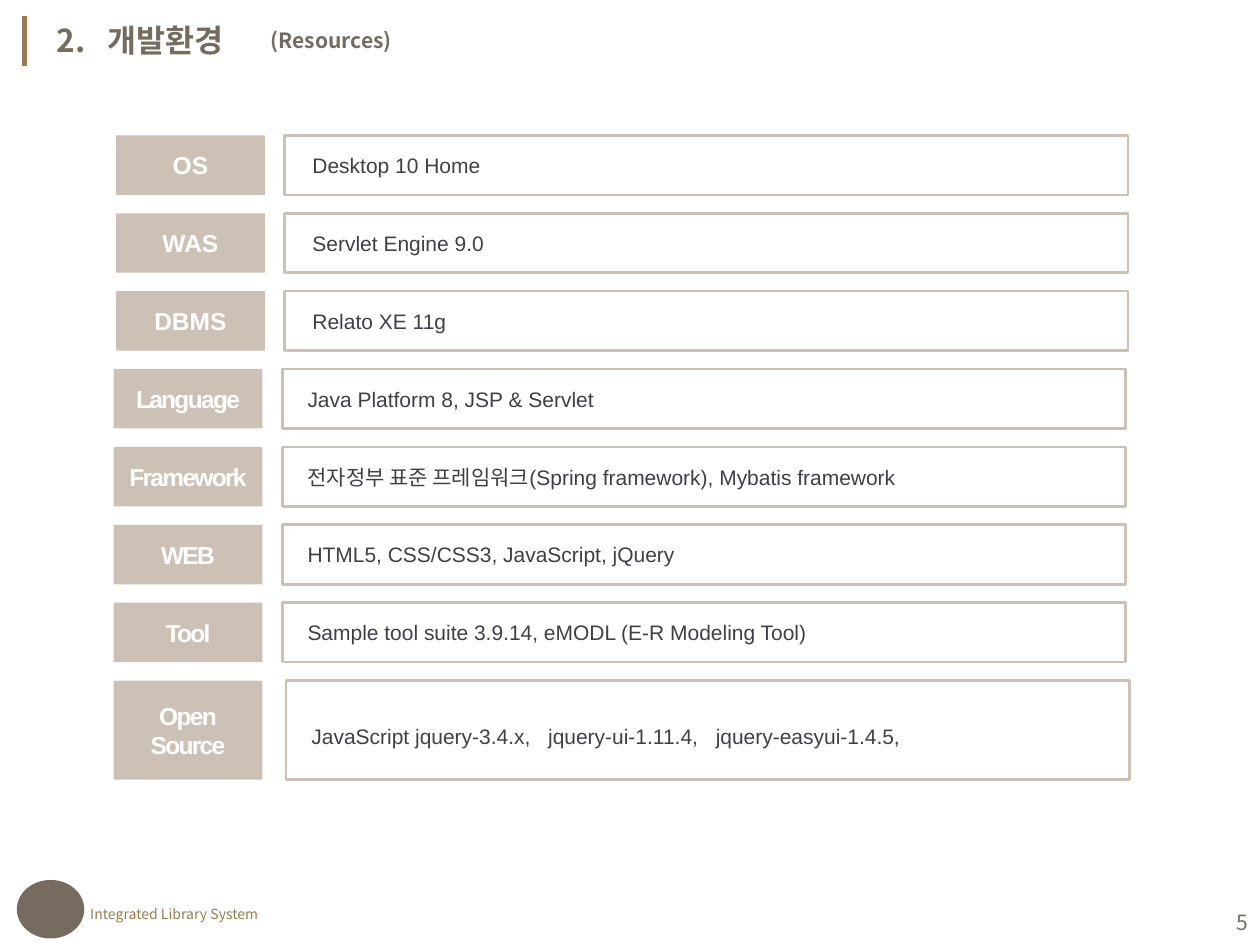
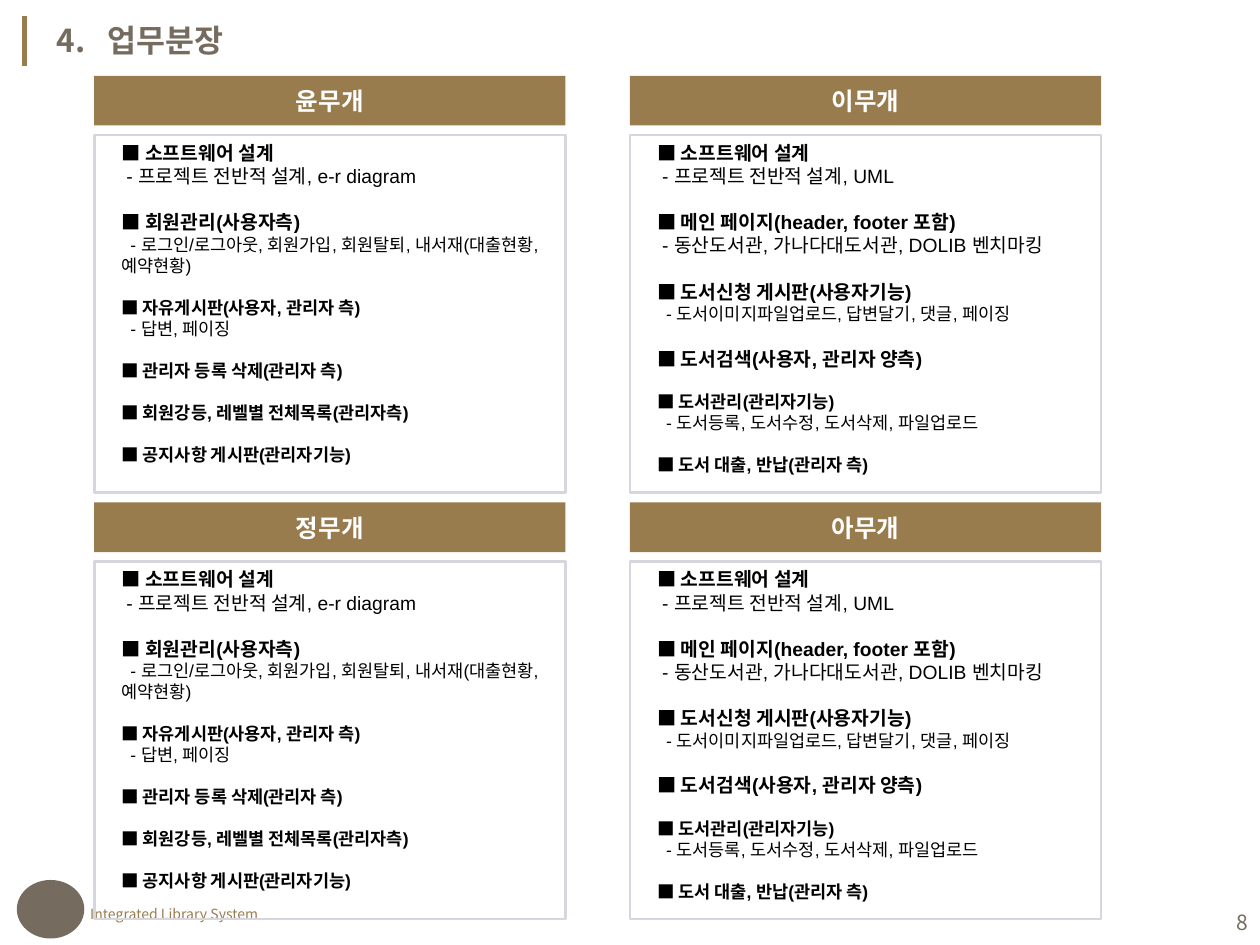
from lxml import etree
from pptx import Presentation
from pptx.dml.color import RGBColor
from pptx.enum import shapes, text
from pptx.oxml import ns
from pptx.util import Cm, Pt

SANS = "Noto Sans CJK KR"
BODY = "Arial"
COLORS = {
    "gold": "987C4D", "brown": "756B5F", "sand": "CDC1B6", "mist": "D6D7DE",
    "slate": "3F3F48", "white": "FFFFFF", "black": "000000",
}


def add_box(page, kind, left, top, width, height, fill=None, line=None, weight=1.5):
    frame = [Cm(value) for value in (left, top, width, height)]
    if kind is None:
        box = page.shapes.add_textbox(*frame)
    else:
        box = page.shapes.add_shape(kind, *frame)
        box.shadow.inherit = False
        if fill:
            box.fill.solid()
            box.fill.fore_color.rgb = RGBColor.from_string(COLORS[fill])
        else:
            box.fill.background()
        if line:
            box.line.color.rgb = RGBColor.from_string(COLORS[line])
            box.line.width = Pt(weight)
        else:
            box.line.fill.background()
        box.text_frame.vertical_anchor = text.MSO_ANCHOR.MIDDLE
    box.text_frame.word_wrap = True
    return box


def style(para, size, color, font=SANS, bold=False, align=text.PP_ALIGN.LEFT):
    para.alignment = align
    for span in para.runs:
        span.font.size = Pt(size)
        span.font.bold = bold
        span.font.name = font
        span.font.color.rgb = RGBColor.from_string(COLORS[color])
        etree.SubElement(span.font._element, ns.qn("a:ea"), typeface=SANS)


RECTANGLE = shapes.MSO_SHAPE.RECTANGLE
CENTER = text.PP_ALIGN.CENTER

deck = Presentation()
deck.slide_width = Cm(25.4)
deck.slide_height = Cm(19.05)

pages = []
for heading, number in [("2.\t개발환경", "5"), ("4.\t업무분장", "8")]:
    page = deck.slides.add_slide(deck.slide_layouts[5])
    pages.append(page)

    title = page.shapes.title
    title.left, title.top, title.width, title.height = Cm(0.89), Cm(0.3), Cm(7), Cm(1.02)
    title.text_frame.text = heading
    title.text_frame.vertical_anchor = text.MSO_ANCHOR.TOP
    title.text_frame.auto_size = text.MSO_AUTO_SIZE.NONE
    para = title.text_frame.paragraphs[0]
    style(para, 18, "brown", bold=True)
    properties = para._p.get_or_add_pPr()
    properties.set("marL", str(Cm(1.02)))
    properties.set("indent", str(Cm(-1.02)))

    accent = page.shapes.add_connector(
        shapes.MSO_CONNECTOR.STRAIGHT, Cm(0.5), Cm(0.33), Cm(0.5), Cm(1.33))
    accent.line.color.rgb = RGBColor.from_string(COLORS["gold"])
    accent.line.width = Pt(3)
    etree.SubElement(accent._element.spPr, ns.qn("a:effectLst"))

    footer = add_box(page, None, 1.57, 18.14, 4.14, 0.6)
    footer.text_frame.text = "Integrated Library System"
    style(footer.text_frame.paragraphs[0], 8, "gold")

    add_box(page, shapes.MSO_SHAPE.OVAL, 0.34, 17.74, 1.36, 1.18, fill="brown")

    page_number = add_box(page, None, 19.5, 18.08, 5.92, 1.02)
    page_number.text_frame.text = number
    page_number.text_frame.vertical_anchor = text.MSO_ANCHOR.MIDDLE
    style(page_number.text_frame.paragraphs[0], 12, "brown", align=text.PP_ALIGN.RIGHT)

resources, duties = pages

subtitle = add_box(resources, None, 5.21, 0.43, 5.99, 0.76)
subtitle.text_frame.text = "(Resources)"
style(subtitle.text_frame.paragraphs[0], 12, "brown", bold=True)

environment = [
    ("OS", "Desktop 10 Home"),
    ("WAS", "Servlet Engine 9.0"),
    ("DBMS", "Relato XE 11g"),
    ("Language", "Java Platform 8, JSP & Servlet"),
    ("Framework", "전자정부 표준 프레임워크(Spring framework), Mybatis framework"),
    ("WEB", "HTML5, CSS/CSS3, JavaScript, jQuery"),
    ("Tool", "Sample tool suite 3.9.14, eMODL (E-R Modeling Tool)"),
    ("Open\nSource", "JavaScript jquery-3.4.x,\tjquery-ui-1.11.4,\tjquery-easyui-1.4.5,"),
]
for index, (name, detail) in enumerate(environment):
    top = 2.73 + 1.57 * index
    wide_name = index < 3
    last = index == len(environment) - 1
    left = 2.34 if wide_name else 2.29
    height = 2 if last else 1.2

    label = add_box(resources, RECTANGLE, left, top, 3, height, fill="sand")
    label.text_frame.margin_left = label.text_frame.margin_right = 0
    label.text_frame.text = name
    for para in label.text_frame.paragraphs:
        style(para, 14, "white", BODY, True, CENTER)
        if not wide_name:
            para.runs[0].font._element.set("spc", "-100")

    value_left = 5.77 if last else left + 3.4
    value = add_box(resources, RECTANGLE, value_left, top, 17, height, "white", "sand")
    value.text_frame.margin_left = Cm(0.56 if wide_name else 0.51)
    value.text_frame.text = detail
    para = value.text_frame.paragraphs[0]
    style(para, 12, "slate", BODY)
    if last:
        para.line_spacing = 1.5
        stops = etree.SubElement(para._p.get_or_add_pPr(), ns.qn("a:tabLst"))
        for position in (4.77, 8.15):
            etree.SubElement(stops, ns.qn("a:tab"), pos=str(Cm(position)), algn="l")

design_tasks = [
    (11, "■ 소프트웨어 설계"),
    (11, "- 프로젝트 전반적 설계, e-r diagram"),
    (11, "■ 회원관리(사용자측)"),
    (10, "- 로그인/로그아웃, 회원가입, 회원탈퇴, 내서재(대출현황, 예약현황)"),
    (10, "■ 자유게시판(사용자, 관리자 측)"),
    (10, "- 답변, 페이징"),
    (10, "■ 관리자 등록 삭제(관리자 측)"),
    (10, "■ 회원강등, 레벨별 전체목록(관리자측)"),
    (10, "■ 공지사항 게시판(관리자기능)"),
]
book_tasks = [
    (11, "■ 소프트웨어 설계"),
    (11, "- 프로젝트 전반적 설계, UML"),
    (11, "■ 메인 페이지(header, footer 포함)"),
    (11, "- 동산도서관, 가나다대도서관, DOLIB 벤치마킹"),
    (11, "■ 도서신청 게시판(사용자기능)"),
    (10, "- 도서이미지파일업로드, 답변달기, 댓글, 페이징"),
    (11, "■ 도서검색(사용자, 관리자 양측)"),
    (10, "■ 도서관리(관리자기능)"),
    (10, "- 도서등록, 도서수정, 도서삭제, 파일업로드"),
    (10, "■ 도서 대출, 반납(관리자 측)"),
]
members = [
    ("윤무개", design_tasks), ("이무개", book_tasks),
    ("정무개", design_tasks), ("아무개", book_tasks),
]
for index, (member, tasks) in enumerate(members):
    row, column = divmod(index, 2)
    left = 1.9 + 10.8 * column
    top = 1.53 + 8.6 * row

    banner = add_box(duties, RECTANGLE, left, top, 9.5, 1, fill="gold")
    banner.text_frame.text = member
    style(banner.text_frame.paragraphs[0], 14, "white", bold=True, align=CENTER)

    add_box(duties, RECTANGLE, left, top + 1.19, 9.5, 7.21, line="mist")

    task_list = add_box(duties, None, left + 0.3, top + 1.19, 9.4, 7.21)
    task_list.text_frame.text = "\n".join(task for size, task in tasks)
    for position, (para, (size, task)) in enumerate(zip(task_list.text_frame.paragraphs, tasks)):
        is_heading = task.startswith("■")
        style(para, size, "black", BODY, is_heading)
        if not is_heading:
            properties = para._p.get_or_add_pPr()
            properties.set("marL", "0")
            properties.set("indent", str(Cm(0.1 if size == 11 else 0.18)))
        elif position:
            para.space_before = Pt(size * 1.2)

deck.save("out.pptx")
